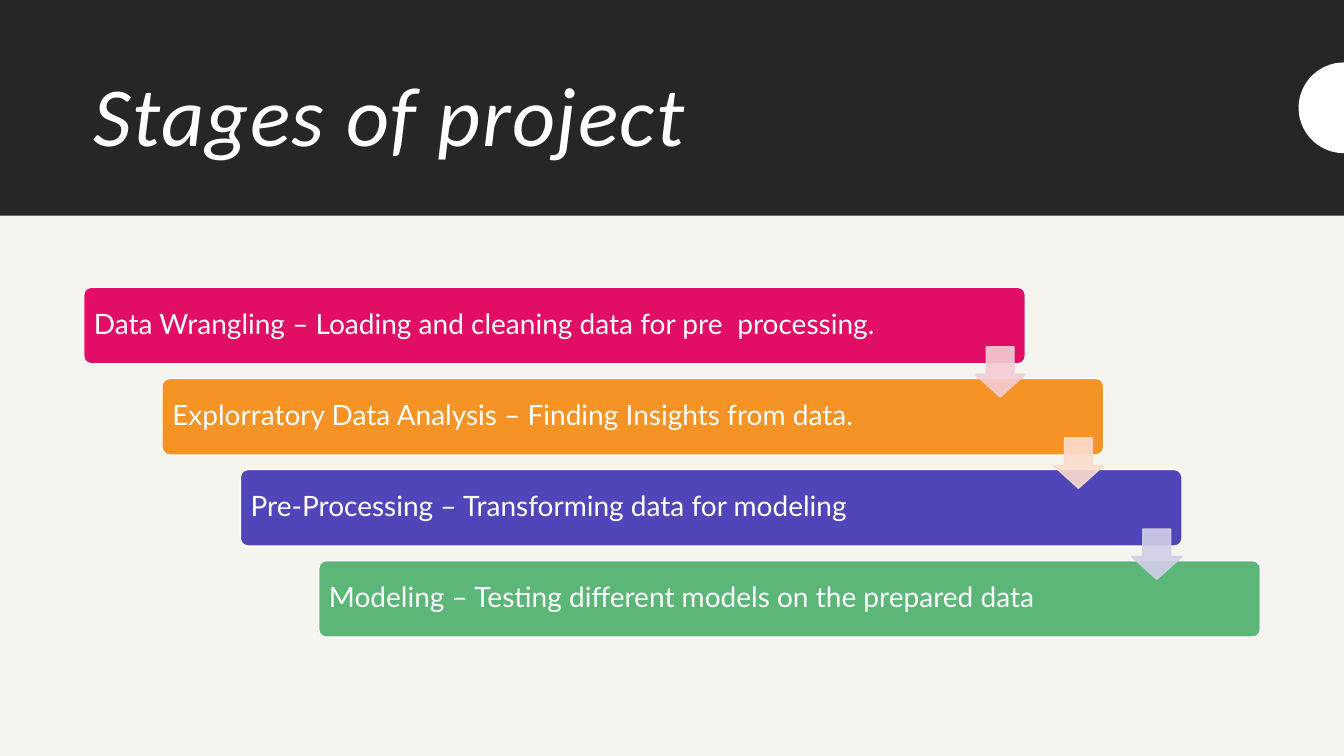
from math import cos, pi, sin

from lxml import etree
from pptx import Presentation
from pptx.dml.color import RGBColor
from pptx.enum.shapes import MSO_SHAPE
from pptx.enum.text import MSO_ANCHOR, PP_ALIGN
from pptx.oxml.ns import qn
from pptx.util import Inches, Pt

# Content: stage text, bar colour, colour of the arrow to the next stage
TITLE = "Stages of project"
STAGES = [
    ("Data Wrangling – Loading and cleaning data for pre\u00a0 processing.", "E20E65", "F4CCD3"),
    ("Explorratory Data Analysis – Finding Insights from data.", "F59324", "FBDCCD"),
    ("Pre-Processing – Transforming data for modeling", "5046B9", "D0CFE6"),
    ("Modeling – Testing different models on the prepared data", "5CB678", None),
]

THEME = {
    "page": "F6F4EF", "band": "262626", "light": "FFFFFF", "arrow_opacity": 90,
    "title": {"name": "Calibri", "size": Pt(60), "italic": True},
    "stage": {"name": "Lato", "size": Pt(20)},
}

# Layout in inches
SLIDE_W, SLIDE_H, BAND_H = 13.33, 7.5, 2.14
BAR_LEFT, BAR_TOP, BAR_W, BAR_H = 0.83, 2.85, 9.34, 0.76
STEP_X, STEP_Y = 0.777, 0.904
ARROW_SIZE, ARROW_DROP = 0.5, 0.59
CIRCLE_Y, CIRCLE_R, CIRCLE_STEPS = 1.07, 0.45, 48


def set_format(target, values):
    for key, value in values.items():
        setattr(target, key, value)


def paint(shape, fill, line=None):
    shape.shadow.inherit = False
    shape.fill.solid()
    shape.fill.fore_color.rgb = RGBColor.from_string(fill)
    if line:
        shape.line.width = Pt(1)
        shape.line.color.rgb = RGBColor.from_string(line)
    else:
        shape.line.fill.background()


def write(shape, text, font, insets):
    frame = shape.text_frame
    set_format(frame, {"word_wrap": True, "vertical_anchor": MSO_ANCHOR.MIDDLE, **insets})
    paragraph = frame.paragraphs[0]
    set_format(paragraph, {"alignment": PP_ALIGN.LEFT, "line_spacing": 0.9})
    run = paragraph.add_run()
    run.text = text
    set_format(run.font, font)
    run.font.color.rgb = RGBColor.from_string(THEME["light"])
    return run


def add_block(kind, left, top, width, height, fill, line=None):
    block = slide.shapes.add_shape(kind, Inches(left), Inches(top), Inches(width), Inches(height))
    paint(block, fill, line)
    return block


prs = Presentation()
prs.slide_width, prs.slide_height = Inches(SLIDE_W), Inches(SLIDE_H)
slide = prs.slides.add_slide(prs.slide_layouts[6])
slide.background.fill.solid()
slide.background.fill.fore_color.rgb = RGBColor.from_string(THEME["page"])

# Header band and title
add_block(MSO_SHAPE.RECTANGLE, 0, 0, SLIDE_W, BAND_H, THEME["band"])
heading = slide.shapes.add_textbox(Inches(0.83), Inches(0.46), Inches(11.67), Inches(1.45))
title_run = write(heading, TITLE, THEME["title"], {})
title_run.font._element.set("spc", "100")

# Half circle on the right edge
angles = [pi / 2 + pi * i / CIRCLE_STEPS for i in range(CIRCLE_STEPS + 1)]
arc = [(Inches(SLIDE_W + CIRCLE_R * cos(a)), Inches(CIRCLE_Y + CIRCLE_R * sin(a))) for a in angles]
outline = slide.shapes.build_freeform(*arc[0])
outline.add_line_segments(arc[1:], close=True)
paint(outline.convert_to_shape(), THEME["light"])

# Staircase of stage bars
bar_insets = {f"margin_{side}": Inches(0.08) for side in ("left", "right", "top", "bottom")}
for i, (stage, color, _) in enumerate(STAGES):
    bar = add_block(MSO_SHAPE.ROUNDED_RECTANGLE, BAR_LEFT + i * STEP_X, BAR_TOP + i * STEP_Y,
                    BAR_W, BAR_H, color, THEME["light"])
    bar.adjustments[0] = 0.1
    write(bar, stage, THEME["stage"], bar_insets)

# Arrows at the right end of each bar, above the bars
for i, (_, _, color) in enumerate(STAGES[:-1]):
    arrow = add_block(MSO_SHAPE.DOWN_ARROW, BAR_LEFT + i * STEP_X + BAR_W - ARROW_SIZE,
                      BAR_TOP + i * STEP_Y + ARROW_DROP, ARROW_SIZE, ARROW_SIZE, color, color)
    arrow.adjustments[0], arrow.adjustments[1] = 0.55, 0.45
    for tint in arrow._element.spPr.iter(qn("a:srgbClr")):
        etree.SubElement(tint, qn("a:alpha")).set("val", str(THEME["arrow_opacity"] * 1000))

prs.save("out.pptx")
